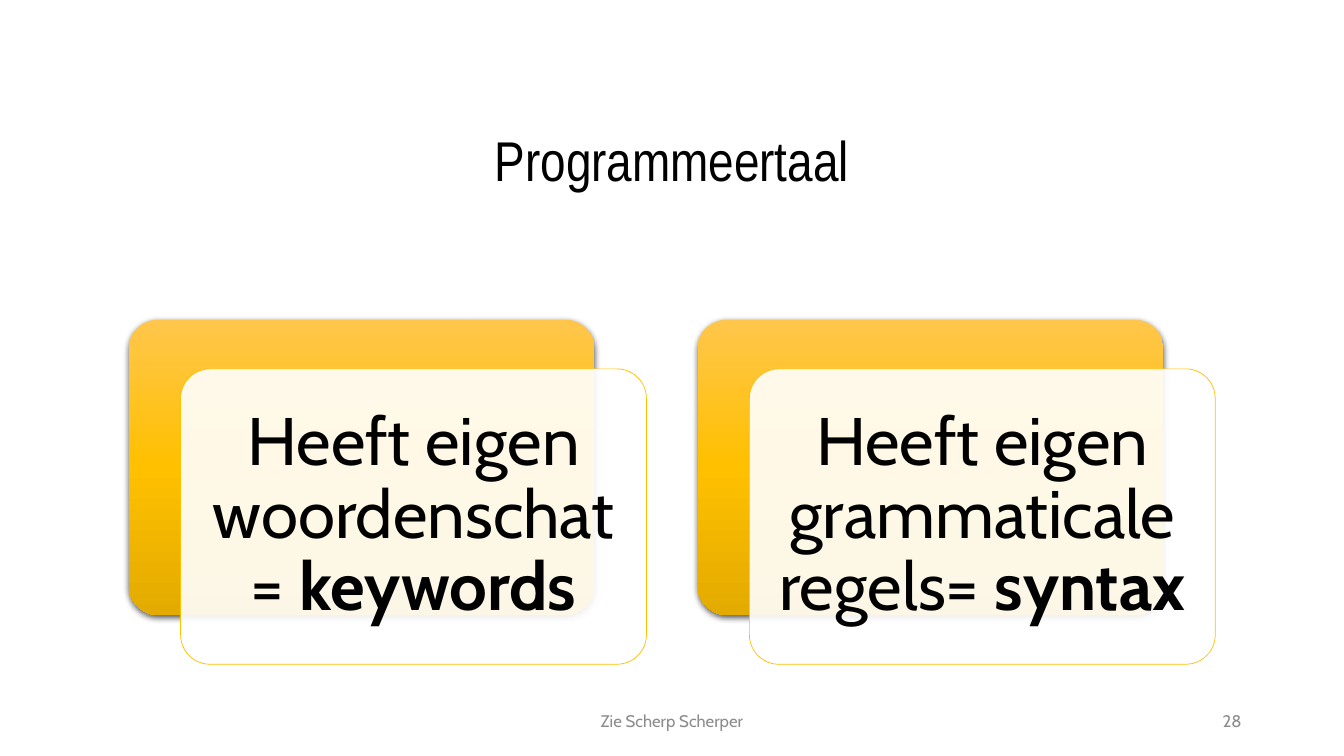
"""Build a slide on the two building blocks of a programming language."""
from copy import deepcopy

from lxml import etree
from pptx import Presentation
from pptx.dml.color import RGBColor
from pptx.enum.shapes import MSO_SHAPE
from pptx.enum.text import MSO_ANCHOR, PP_ALIGN
from pptx.oxml.ns import qn
from pptx.util import Pt

ROUNDED = MSO_SHAPE.ROUNDED_RECTANGLE
MIDDLE = MSO_ANCHOR.MIDDLE
CENTER, RIGHT = PP_ALIGN.CENTER, PP_ALIGN.RIGHT
COLORS = {
    "text": "000000",
    "footer": "8C8C8C",
    "panel": "FFFFFF",
    "gold_light": "FFC64B",
    "gold": "FFC000",
    "gold_dark": "E3AB00",
    "shadow": "000000",
}


def rgb(name):
    return RGBColor.from_string(COLORS[name])


def add_text(box, parts, size, font, color, align=CENTER, spacing=1.0, inset=None):
    left, top, width, height = map(Pt, box)
    frame = slide.shapes.add_textbox(left, top, width, height).text_frame
    frame.word_wrap = True
    frame.vertical_anchor = MIDDLE
    if inset is not None:
        frame.margin_left = frame.margin_right = Pt(inset)
        frame.margin_top = frame.margin_bottom = Pt(inset)
    paragraph = frame.paragraphs[0]
    paragraph.alignment = align
    paragraph.line_spacing = spacing
    for wording, bold in parts:
        run = paragraph.add_run()
        run.text = wording
        run.font.size = Pt(size)
        run.font.name = font
        run.font.bold = bold
        run.font.color.rgb = rgb(color)


deck = Presentation()
deck.slide_width, deck.slide_height = Pt(960), Pt(540)
slide = deck.slides.add_slide(deck.slide_layouts[6])

add_text((92.9, 64.8, 774, 104.4), [("Programmeertaal", False)],
         40, "Arial Narrow", "text", spacing=0.9)

CARD_LEFT, CARD_TOP, CARD_STEP = 92, 228.3, 406.3
CARD_WIDTH, CARD_HEIGHT = 332.8, 211
PANEL_DX, PANEL_DY = 37, 35.2
TEXT_GAP = 6.2

features = [
    ("Heeft eigen woordenschat = ", "keywords"),
    ("Heeft eigen grammaticale regels= ", "syntax"),
]
for index, (description, term) in enumerate(features):
    left = CARD_LEFT + index * CARD_STEP
    card = slide.shapes.add_shape(ROUNDED, Pt(left), Pt(CARD_TOP), Pt(CARD_WIDTH), Pt(CARD_HEIGHT))
    card.adjustments[0] = 0.1
    card.line.fill.background()
    card.fill.gradient()
    card.fill.gradient_angle = 270
    first, last = card.fill.gradient_stops
    first.position, last.position = 0, 1
    first.color.rgb, last.color.rgb = rgb("gold_light"), rgb("gold_dark")
    stops = card._element.spPr.find(".//" + qn("a:gsLst"))
    middle_stop = deepcopy(stops[0])
    middle_stop.set("pos", "50000")
    middle_stop[0].set("val", COLORS["gold"])
    stops.insert(1, middle_stop)

    card.shadow.inherit = False
    effects = card._element.spPr.find(qn("a:effectLst"))
    shadow = etree.SubElement(effects, qn("a:outerShdw"), blurRad=str(Pt(4.5)),
                              dist=str(Pt(1.5)), dir="5400000", rotWithShape="0")
    shadow_color = etree.SubElement(shadow, qn("a:srgbClr"), val=COLORS["shadow"])
    etree.SubElement(shadow_color, qn("a:alpha"), val="63000")

    panel_left, panel_top = left + PANEL_DX, CARD_TOP + PANEL_DY
    panel = slide.shapes.add_shape(ROUNDED, Pt(panel_left), Pt(panel_top),
                                   Pt(CARD_WIDTH), Pt(CARD_HEIGHT))
    panel.adjustments[0] = 0.1
    panel.shadow.inherit = False
    panel.fill.solid()
    panel.fill.fore_color.rgb = rgb("panel")
    panel_color = panel._element.spPr.find(qn("a:solidFill"))[0]
    etree.SubElement(panel_color, qn("a:alpha"), val="90000")
    panel.line.color.rgb = rgb("gold")
    panel.line.width = Pt(0.5)

    text_box = (panel_left + TEXT_GAP, panel_top + TEXT_GAP,
                CARD_WIDTH - 2 * TEXT_GAP, CARD_HEIGHT - 2 * TEXT_GAP)
    add_text(text_box, [(description, False), (term, True)],
             48, "Cabin", "text", spacing=0.9, inset=14.4)

add_text((318, 500.5, 324, 28.8), [("Zie Scherp Scherper", False)], 12, "Cabin", "footer")
add_text((678, 500.5, 216, 28.8), [("28", False)], 12, "Cabin", "footer", align=RIGHT)

deck.save("out.pptx")
